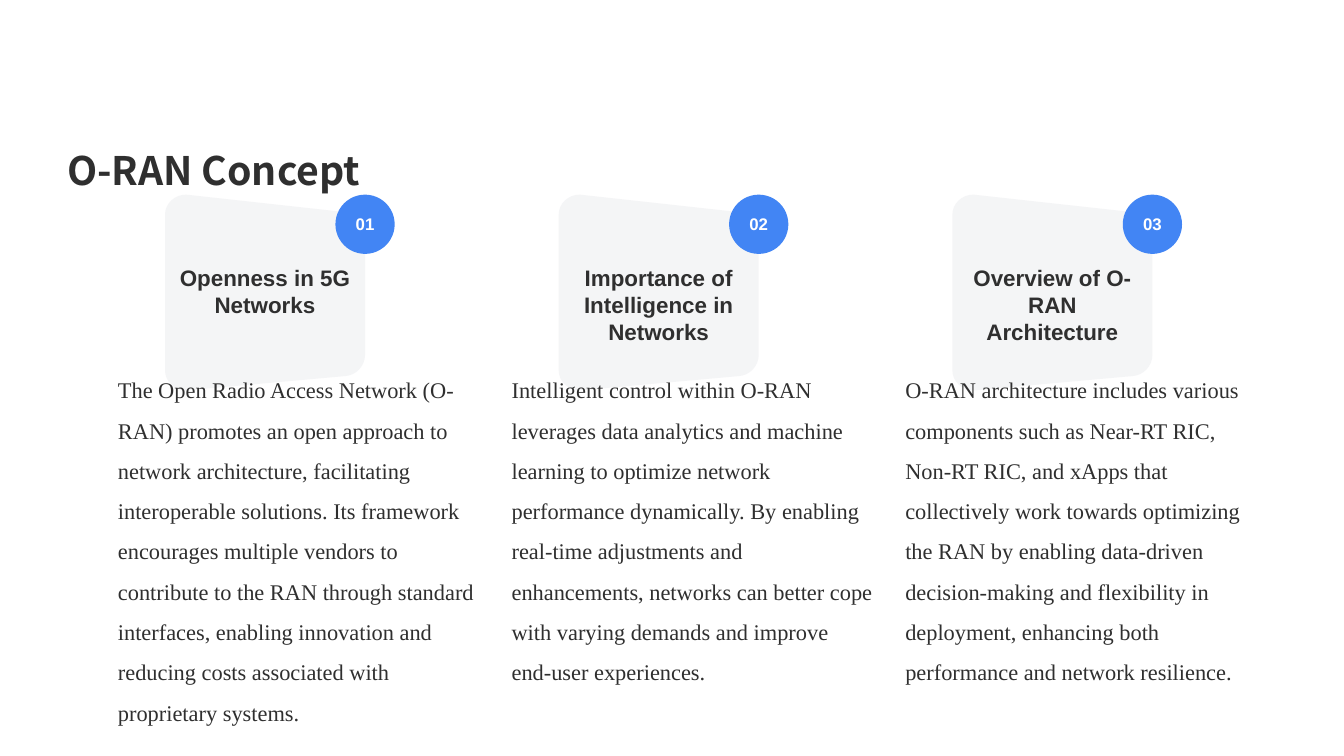
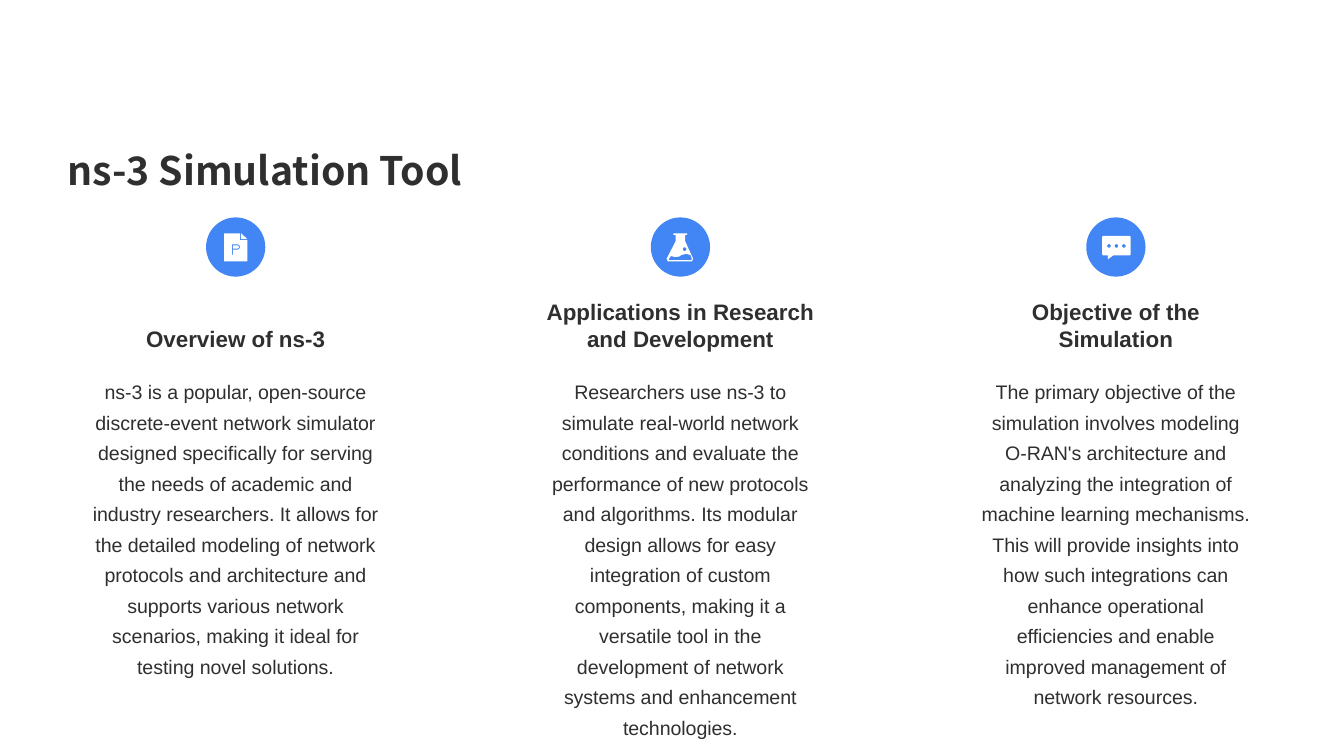
from math import cos, pi, sin

from lxml.etree import SubElement
from pptx import Presentation
from pptx.dml.color import RGBColor
from pptx.enum.shapes import MSO_SHAPE as Preset
from pptx.enum.text import MSO_ANCHOR as Anchor, MSO_AUTO_SIZE as AutoSize, PP_ALIGN as Align
from pptx.oxml.ns import qn
from pptx.util import Cm, Pt

COLORS = {"ink": "2F2F2F", "accent": "4285F4", "panel": "E4E6EA", "white": "FFFFFF"}
TITLE_FONT = "Noto Sans CJK SC"
SANS = "Arial"
SERIF = "Times New Roman"
INSETS = (0.18, 0.1)

CARD_LEFT, CARD_STEP, CARD_TOP = 3.12, 7.44, 3.68
CARD_WIDTH = 3.78
DISC_SIZE, DISC_TOP = 1.12, 4.11
DOT_RADIUS = 0.035

CONCEPTS = [
    ("Openness in 5G Networks", 1.22,
     "The Open Radio Access Network (O-RAN) promotes an open approach to network "
     "architecture, facilitating interoperable solutions. Its framework encourages "
     "multiple vendors to contribute to the RAN through standard interfaces, enabling "
     "innovation and reducing costs associated with proprietary systems.", 7.04),
    ("Importance of Intelligence in Networks", 1.73,
     "Intelligent control within O-RAN leverages data analytics and machine learning to "
     "optimize network performance dynamically. By enabling real-time adjustments and "
     "enhancements, networks can better cope with varying demands and improve end-user "
     "experiences.", 6.25),
    ("Overview of O-RAN Architecture", 1.73,
     "O-RAN architecture includes various components such as Near-RT RIC, Non-RT RIC, "
     "and xApps that collectively work towards optimizing the RAN by enabling "
     "data-driven decision-making and flexibility in deployment, enhancing both "
     "performance and network resilience.", 6.25),
]


def color(name):
    return RGBColor.from_string(COLORS[name])


def arc(start, corner, end, steps=8):
    points = []
    for step in range(steps + 1):
        angle = step * pi / 2 / steps
        points.append(tuple(c + (s - c) * (1 - sin(angle)) + (e - c) * (1 - cos(angle))
                            for s, c, e in zip(start, corner, end)))
    return points


def dot(x, y, steps=16):
    angles = [2 * pi * step / steps for step in range(steps)]
    return [(x + DOT_RADIUS * cos(angle), y + DOT_RADIUS * sin(angle)) for angle in angles]


CARD = [
    arc((3.4, 0.33), (3.78, 0.35), (3.78, 0.7))
    + arc((3.78, 3.03), (3.78, 3.41), (3.4, 3.43))
    + arc((0.4, 3.7), (0, 3.7), (0, 3.32))
    + arc((0, 0.38), (0, 0), (0.4, 0))
]
DOCUMENT = [
    [(0.34, 0.3), (0.64, 0.3), (0.64, 0.43), (0.78, 0.43), (0.78, 0.83), (0.34, 0.83)],
    [(0.66, 0.3), (0.78, 0.41), (0.66, 0.41)],
    [(0.49, 0.51)] + arc((0.59, 0.51), (0.64, 0.51), (0.64, 0.56))
    + arc((0.64, 0.56), (0.64, 0.61), (0.59, 0.61))
    + [(0.51, 0.61), (0.51, 0.71), (0.49, 0.71)],
    [(0.51, 0.53)] + arc((0.59, 0.53), (0.62, 0.53), (0.62, 0.56))
    + arc((0.62, 0.56), (0.62, 0.59), (0.59, 0.59)) + [(0.51, 0.59)],
]
FLASK = [
    [(0.43, 0.3), (0.69, 0.3), (0.69, 0.33), (0.65, 0.33), (0.65, 0.45), (0.8, 0.78),
     (0.78, 0.83), (0.32, 0.83), (0.3, 0.78), (0.47, 0.45), (0.47, 0.33), (0.43, 0.33)],
    [(0.58, 0.71), (0.54, 0.74), (0.46, 0.75), (0.38, 0.73), (0.34, 0.79), (0.35, 0.81),
     (0.76, 0.81), (0.78, 0.79), (0.75, 0.71), (0.67, 0.69)],
    dot(0.64, 0.6),
]
SPEECH = [
    arc((0.81, 0.35), (0.84, 0.35), (0.84, 0.38))
    + arc((0.84, 0.69), (0.84, 0.72), (0.81, 0.72))
    + [(0.51, 0.72), (0.41, 0.79), (0.41, 0.72)]
    + arc((0.33, 0.72), (0.3, 0.72), (0.3, 0.69))
    + arc((0.3, 0.38), (0.3, 0.35), (0.33, 0.35)),
] + [dot(0.43 + 0.14 * place, 0.54) for place in range(3)]

TOPICS = [
    (1.47, 5.97, DOCUMENT, "Overview of ns-3", 0.89,
     "ns-3 is a popular, open-source discrete-event network simulator designed "
     "specifically for serving the needs of academic and industry researchers. It allows "
     "for the detailed modeling of network protocols and architecture and supports "
     "various network scenarios, making it ideal for testing novel solutions.", 6.22),
    (10.03, 5.66, FLASK, "Applications in Research and Development", 1.4,
     "Researchers use ns-3 to simulate real-world network conditions and evaluate the "
     "performance of new protocols and algorithms. Its modular design allows for easy "
     "integration of custom components, making it a versatile tool in the development of "
     "network systems and enhancement technologies.", 7.39),
    (18.26, 5.66, SPEECH, "Objective of the Simulation", 1.4,
     "The primary objective of the simulation involves modeling O-RAN's architecture and "
     "analyzing the integration of machine learning mechanisms. This will provide "
     "insights into how such integrations can enhance operational efficiencies and "
     "enable improved management of network resources.", 6.81),
]


def paint(shape, fill):
    shape.shadow.inherit = False
    shape.fill.solid()
    shape.fill.fore_color.rgb = color(fill)
    shape.line.fill.background()


def write(shape, text, size, font=SANS, ink="ink", bold=False, align=Align.LEFT,
          anchor=Anchor.TOP, spacing=1.0, insets=INSETS):
    frame = shape.text_frame
    frame.word_wrap = True
    frame.vertical_anchor = anchor
    frame.margin_left = frame.margin_right = Cm(insets[0])
    frame.margin_top = frame.margin_bottom = Cm(insets[1])
    para = frame.paragraphs[0]
    para.alignment = align
    para.line_spacing = spacing
    span = para.add_run()
    span.text = text
    span.font.name = font
    span.font.size = Pt(size)
    span.font.bold = bold
    span.font.color.rgb = color(ink)


def add_text(page, left, top, width, height, text, size, grow=True, **style):
    box = page.shapes.add_textbox(Cm(left), Cm(top), Cm(width), Cm(height))
    write(box, text, size, **style)
    box.text_frame.auto_size = AutoSize.SHAPE_TO_FIT_TEXT if grow else AutoSize.NONE


def add_disc(shapes, preset, left, top):
    disc = shapes.add_shape(preset, Cm(left), Cm(top), Cm(DISC_SIZE), Cm(DISC_SIZE))
    paint(disc, "accent")
    return disc


def add_outline(shapes, left, top, contours, fill, opacity=None):
    builder = None
    for contour in contours:
        points = [(Cm(left + x), Cm(top + y)) for x, y in contour]
        if builder is None:
            builder = shapes.build_freeform(*points[0])
        else:
            builder.move_to(*points[0])
        builder.add_line_segments(points[1:], close=True)
    outline = builder.convert_to_shape()
    paint(outline, fill)
    if opacity is not None:
        tint = next(outline.element.iter(qn("a:srgbClr")))
        SubElement(tint, qn("a:alpha")).set("val", str(opacity * 1000))


def add_page(deck, title):
    page = deck.slides.add_slide(deck.slide_layouts[6])
    add_text(page, 1.09, 2.16, 23.67, 1.6, title, 21, grow=False, font=TITLE_FONT,
             bold=True, anchor=Anchor.BOTTOM, spacing=0.9)
    return page


def add_concept(page, index, heading, heading_height, body, body_height):
    left = CARD_LEFT + index * CARD_STEP
    add_outline(page.shapes, left, CARD_TOP, CARD, "panel", opacity=40)
    badge = add_disc(page.shapes, Preset.ROUNDED_RECTANGLE, left + 3.22, CARD_TOP)
    badge.adjustments[0] = 0.5
    write(badge, f"{index + 1:02}", 9, ink="white", bold=True, align=Align.CENTER,
          anchor=Anchor.MIDDLE)
    add_text(page, left, 4.9, CARD_WIDTH, heading_height, heading, 12, bold=True,
             align=Align.CENTER)
    add_text(page, left - 1.07, 6.76, 7.19, body_height, body, 12, font=SERIF, spacing=1.5)


def add_topic(page, left, width, icon, heading, heading_height, body, body_height):
    add_text(page, left, 6.83 - heading_height, width, heading_height, heading, 12,
             bold=True, align=Align.CENTER, anchor=Anchor.BOTTOM, insets=(0.18, 0.18))
    add_text(page, left, 6.81, width, body_height, body, 10.5, align=Align.CENTER,
             spacing=1.3, insets=(0.24, 0.24))
    group = page.shapes.add_group_shape()
    disc_left = left + (width - DISC_SIZE) / 2
    add_disc(group.shapes, Preset.OVAL, disc_left, DISC_TOP)
    add_outline(group.shapes, disc_left, DISC_TOP, icon, "white")


def main():
    deck = Presentation()
    deck.slide_width, deck.slide_height = Cm(25.4), Cm(14.29)
    page = add_page(deck, "O-RAN Concept")
    for index, concept in enumerate(CONCEPTS):
        add_concept(page, index, *concept)
    page = add_page(deck, "ns-3 Simulation Tool")
    for topic in TOPICS:
        add_topic(page, *topic)
    deck.save("out.pptx")


if __name__ == "__main__":
    main()
